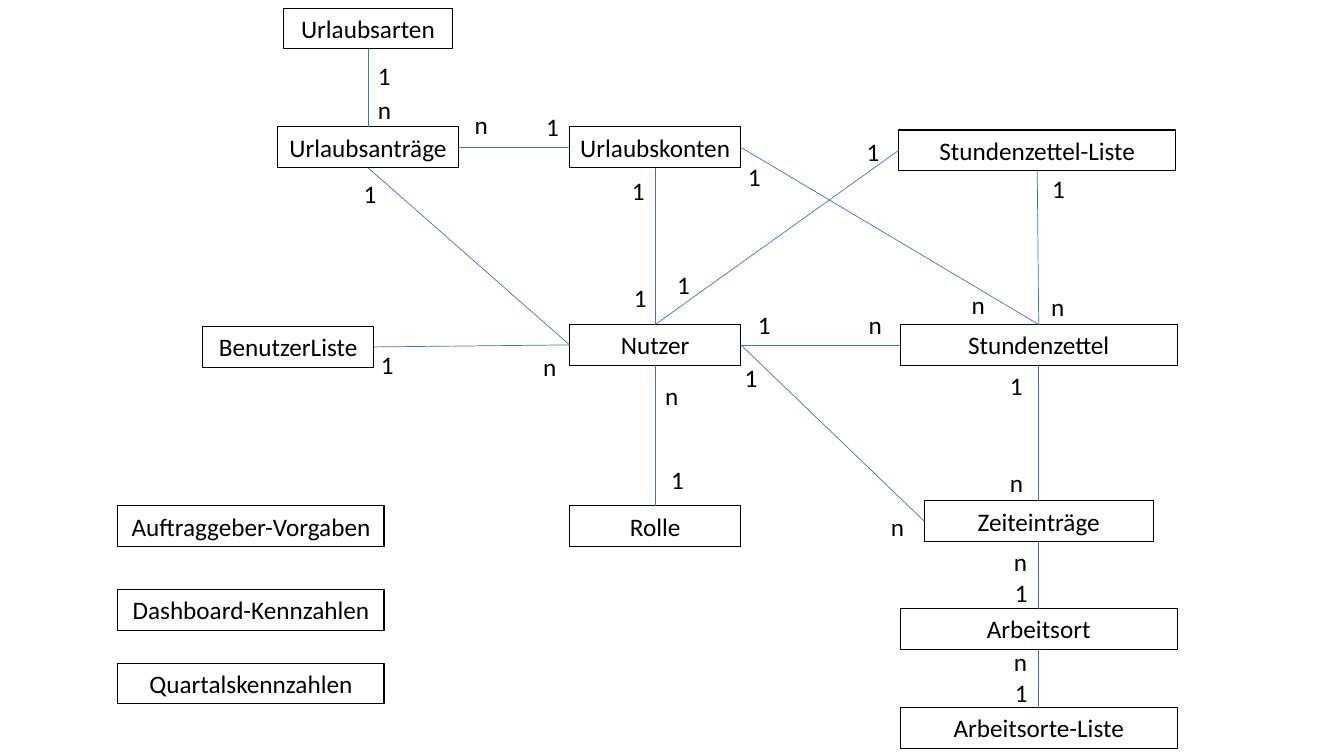
import dataclasses

import lxml.etree
import pptx
import pptx.dml.color
import pptx.enum.shapes
import pptx.enum.text
import pptx.oxml.ns
import pptx.util

TOP, LEFT, BOTTOM, RIGHT = range(4)  # connection sites of a rectangle


@dataclasses.dataclass(frozen=True)
class Theme:
    font: str = "Calibri"
    text_size: float = 18
    text_color: str = "000000"
    frame_color: str = "000000"
    frame_width: float = 0.75
    relation_color: str = "4472C4"
    relation_width: float = 0.5
    cell: float = 0.1  # inches per grid column and row
    columns: float = 133.33
    rows: float = 75
    box_height: float = 4.04
    mark_width: float = 3.3


def rgb(color):
    return pptx.dml.color.RGBColor.from_string(color)


def write_text(shape, text, *, font, size, color, align, side_inset):
    """Fill a shape with one formatted paragraph."""
    frame = shape.text_frame
    frame.word_wrap = True
    frame.auto_size = pptx.enum.text.MSO_AUTO_SIZE.SHAPE_TO_FIT_TEXT
    frame.vertical_anchor = pptx.enum.text.MSO_ANCHOR.TOP
    frame.margin_left = frame.margin_right = pptx.util.Inches(side_inset)
    para = frame.paragraphs[0]
    para.alignment = align
    span = para.add_run()
    span.text = text
    span.font.name = font
    span.font.size = pptx.util.Pt(size)
    span.font.color.rgb = rgb(color)


class Diagram:
    """Draws entities and relations on one slide, measured in grid cells."""

    def __init__(self, page, theme):
        self.page = page
        self.theme = theme
        self.boxes = {}

    def grid(self, *cells):
        return [pptx.util.Inches(cell * self.theme.cell) for cell in cells]

    def label(self, shape, text, align, side_inset):
        write_text(shape, text, font=self.theme.font, size=self.theme.text_size,
                   color=self.theme.text_color, align=align, side_inset=side_inset)

    def entity(self, name, center, row, width):
        box = self.page.shapes.add_shape(
            pptx.enum.shapes.MSO_SHAPE.RECTANGLE,
            *self.grid(center - width / 2, row, width, self.theme.box_height))
        box.shadow.inherit = False
        box.fill.background()
        box.line.color.rgb = rgb(self.theme.frame_color)
        box.line.width = pptx.util.Pt(self.theme.frame_width)
        self.label(box, name, pptx.enum.text.PP_ALIGN.CENTER, 0.05)
        self.boxes[name] = box

    def relation(self, start, start_site, end, end_site):
        line = self.page.shapes.add_connector(
            pptx.enum.shapes.MSO_CONNECTOR.STRAIGHT, 0, 0, 0, 0)
        line.begin_connect(self.boxes[start], start_site)
        line.end_connect(self.boxes[end], end_site)
        line.line.color.rgb = rgb(self.theme.relation_color)
        line.line.width = pptx.util.Pt(self.theme.relation_width)
        properties = line._element.spPr
        lxml.etree.SubElement(properties, pptx.oxml.ns.qn("a:effectLst"))

    def cardinality(self, text, column, row):
        box = self.page.shapes.add_textbox(
            *self.grid(column, row, self.theme.mark_width, self.theme.box_height))
        self.label(box, text, pptx.enum.text.PP_ALIGN.LEFT, 0.1)


# Lanes: centre columns shared by stacked entities
REPORTS, LEAVE, USER, TIME = 24.9, 36.5, 65, 103.05

# Entities: name, centre column, top row, width
ENTITIES = [
    ("Urlaubsarten", LEAVE, 0.8, 16.8),
    ("Urlaubsanträge", LEAVE, 12.6, 17.9),
    ("Urlaubskonten", USER, 12.6, 17),
    ("Nutzer", USER, 32.2, 17),
    ("Rolle", USER, 50.2, 17),
    ("BenutzerListe", 28.6, 32.4, 17),
    ("Stundenzettel-Liste", TIME - 0.15, 12.9, 27.5),
    ("Stundenzettel", TIME, 32.2, 27.5),
    ("Zeiteinträge", TIME, 49.7, 22.7),
    ("Arbeitsort", TIME, 60.4, 27.5),
    ("Arbeitsorte-Liste", TIME, 70.2, 27.5),
    ("Auftraggeber-Vorgaben", REPORTS, 50.2, 26.4),
    ("Dashboard-Kennzahlen", REPORTS, 58.5, 26.4),
    ("Quartalskennzahlen", REPORTS, 65.8, 26.4),
]

# Relations: both ends with their sites, then cardinalities (text, column, row)
RELATIONS = [
    ("Urlaubsarten", BOTTOM, "Urlaubsanträge", TOP,
     [("1", 36.5, 5.5), ("n", 36.5, 8.9)]),
    ("Urlaubsanträge", RIGHT, "Urlaubskonten", LEFT,
     [("n", 46.1, 10.4), ("1", 53.2, 10.6)]),
    ("Urlaubsanträge", BOTTOM, "Nutzer", LEFT,
     [("1", 35.1, 17.2)]),
    ("Urlaubskonten", BOTTOM, "Nutzer", TOP,
     [("1", 61.7, 16.9), ("1", 61.9, 27.5)]),
    ("Urlaubskonten", RIGHT, "Stundenzettel", TOP,
     [("1", 73.2, 15.5), ("n", 95.4, 28.2)]),
    ("BenutzerListe", RIGHT, "Nutzer", LEFT,
     [("1", 36.8, 34.2), ("n", 52.9, 34.4)]),
    ("Nutzer", BOTTOM, "Rolle", TOP,
     [("n", 65, 37.2), ("1", 65.6, 45.6)]),
    ("Nutzer", TOP, "Stundenzettel-Liste", LEFT,
     [("1", 66.2, 26.2), ("1", 85, 13)]),
    ("Nutzer", RIGHT, "Stundenzettel", LEFT,
     [("1", 74.2, 30.2), ("n", 85.2, 30.2)]),
    ("Nutzer", RIGHT, "Zeiteinträge", LEFT,
     [("1", 72.9, 35.5), ("n", 87.4, 50.2)]),
    ("Stundenzettel-Liste", BOTTOM, "Stundenzettel", TOP,
     [("1", 103.4, 16.7), ("n", 103.3, 28.4)]),
    ("Stundenzettel", BOTTOM, "Zeiteinträge", TOP,
     [("1", 99.2, 36.2), ("n", 99.2, 45.9)]),
    ("Zeiteinträge", BOTTOM, "Arbeitsort", TOP,
     [("n", 99.6, 53.7), ("1", 99.7, 56.8)]),
    ("Arbeitsort", BOTTOM, "Arbeitsorte-Liste", TOP,
     [("n", 99.6, 63.6), ("1", 99.7, 66.7)]),
]


def main():
    theme = Theme()
    deck = pptx.Presentation()
    deck.slide_width = pptx.util.Inches(theme.columns * theme.cell)
    deck.slide_height = pptx.util.Inches(theme.rows * theme.cell)
    page = deck.slides.add_slide(deck.slide_layouts.get_by_name("Blank"))
    diagram = Diagram(page, theme)

    # Entity boxes
    for entity in ENTITIES:
        diagram.entity(*entity)

    # Relations with their cardinalities
    for *ends, marks in RELATIONS:
        diagram.relation(*ends)
        for mark in marks:
            diagram.cardinality(*mark)

    deck.save("out.pptx")


if __name__ == "__main__":
    main()
